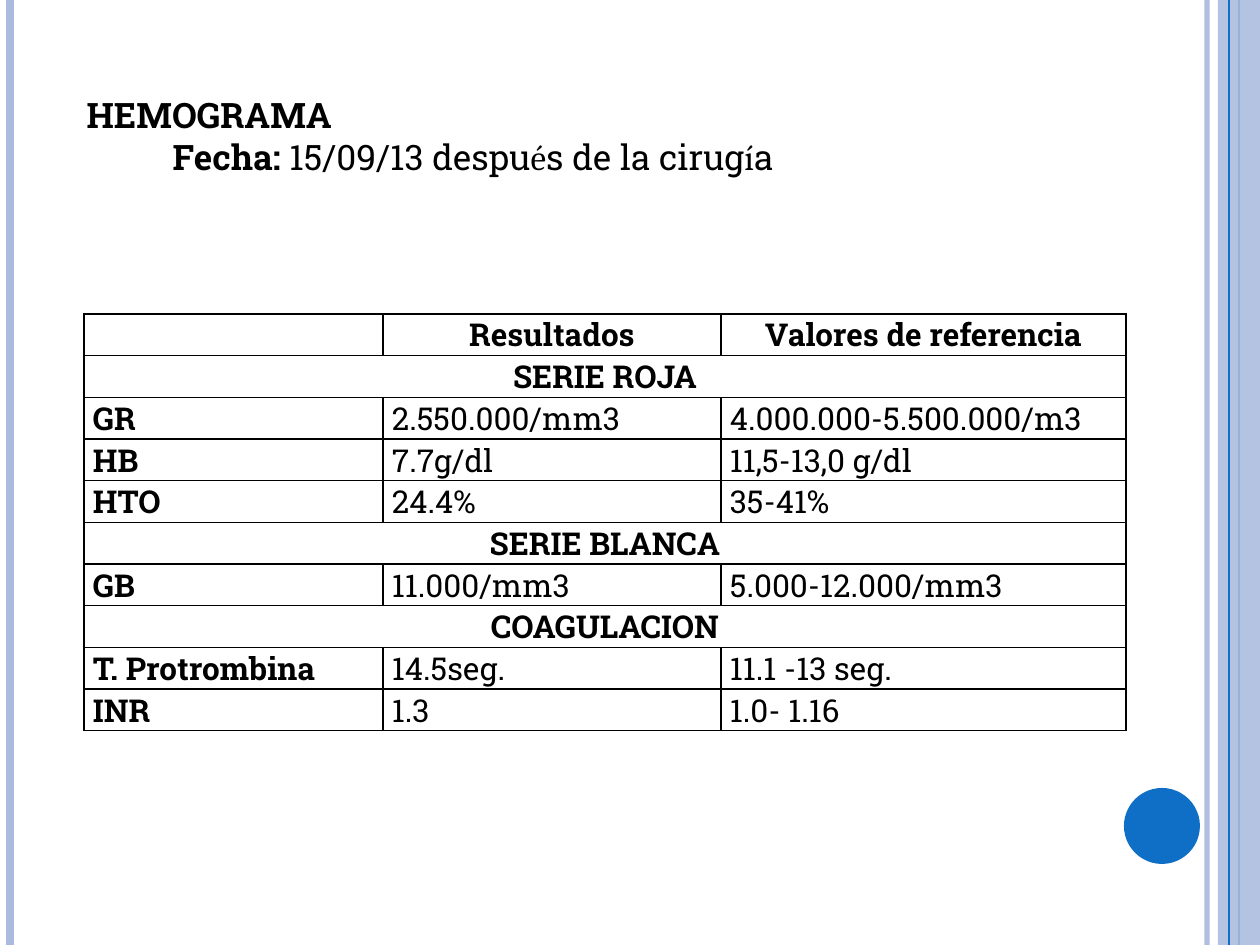
from dataclasses import dataclass

from lxml import etree
from pptx import Presentation
from pptx.dml.color import RGBColor
from pptx.enum.shapes import MSO_CONNECTOR, MSO_SHAPE
from pptx.enum.text import MSO_ANCHOR, MSO_AUTO_SIZE, PP_ALIGN
from pptx.oxml.ns import qn
from pptx.util import Emu, Pt

STRAIGHT = MSO_CONNECTOR.STRAIGHT
RECTANGLE, OVAL = MSO_SHAPE.RECTANGLE, MSO_SHAPE.OVAL
LEFT, CENTER, JUSTIFY = PP_ALIGN.LEFT, PP_ALIGN.CENTER, PP_ALIGN.JUSTIFY
TITLE_ONLY = 5
SLIDE_WIDTH, SLIDE_HEIGHT = 1260, 945
COLUMN_WIDTHS = (299, 338, 405)
ROW_HEIGHT = 41
CELL_MARGIN = 9

# A row with a single entry is a section heading across all columns.
ROWS = (
    ("", "Resultados", "Valores de referencia"),
    ("SERIE ROJA",),
    ("GR", "2.550.000/mm3", "4.000.000-5.500.000/m3"),
    ("HB", "7.7g/dl", "11,5-13,0 g/dl"),
    ("HTO", "24.4%", "35-41%"),
    ("SERIE BLANCA",),
    ("GB", "11.000/mm3", "5.000-12.000/mm3"),
    ("COAGULACION",),
    ("T. Protrombina", "14.5seg.", "11.1 -13 seg."),
    ("INR", "1.3", "1.0- 1.16"),
)


@dataclass(frozen=True)
class Theme:
    font: str = "Roboto Slab"
    accent_font: str = "Cambria"
    text: str = "000000"
    pale: str = "ABBBDF"
    blue: str = "0F6FC6"
    title_size: int = 20
    table_size: int = 18


THEME = Theme()


def px(length):
    return Emu(round(length * 914400 / 126))


def add_text(paragraph, text, *, size, bold=False, font=THEME.font, align=LEFT):
    paragraph.alignment = align
    run = paragraph.add_run()
    run.text = text
    run.font.name = font
    run.font.size = Pt(size)
    run.font.bold = bold
    run.font.color.rgb = RGBColor.from_string(THEME.text)


def set_opacity(fill_parent, percent):
    color = next(fill_parent.iter(qn("a:srgbClr")))
    etree.SubElement(color, qn("a:alpha"), val=str(percent * 1000))


def add_stripe(slide, x, color, width, opacity=100):
    """Draw a vertical line over the full height of the slide."""
    stripe = slide.shapes.add_connector(STRAIGHT, px(x), 0, px(x), px(SLIDE_HEIGHT))
    stripe.line.color.rgb = RGBColor.from_string(color)
    stripe.line.width = Pt(width)
    properties = stripe._element.spPr
    if opacity < 100:
        set_opacity(properties, opacity)
    etree.SubElement(properties, qn("a:effectLst"))


def add_filled_shape(slide, kind, left, top, width, height, color):
    shape = slide.shapes.add_shape(kind, px(left), px(top), px(width), px(height))
    shape.shadow.inherit = False
    shape.fill.solid()
    shape.fill.fore_color.rgb = RGBColor.from_string(color)
    shape.line.fill.background()
    return shape


def add_decoration(slide):
    add_stripe(slide, 1207, THEME.pale, 3, opacity=93)
    add_stripe(slide, 10, THEME.pale, 4.5)
    add_stripe(slide, 1239, THEME.blue, 1.5)
    band = add_filled_shape(slide, RECTANGLE, SLIDE_WIDTH - 42, 0, 42, SLIDE_HEIGHT, THEME.pale)
    set_opacity(band._element.spPr, 87)
    add_stripe(slide, 1229, THEME.blue, 0.75)
    add_filled_shape(slide, OVAL, 1124, 788, 76, 76, THEME.blue)


def fill_title(title, left, top, width, height):
    title.left, title.top, title.width, title.height = map(px, (left, top, width, height))
    frame = title.text_frame
    frame.word_wrap = False
    frame.auto_size = MSO_AUTO_SIZE.NONE
    frame.vertical_anchor = MSO_ANCHOR.TOP
    size = THEME.title_size
    add_text(frame.paragraphs[0], "HEMOGRAMA", size=size, bold=True)
    date = frame.add_paragraph()
    date._p.get_or_add_pPr().set("marL", str(px(86)))
    add_text(date, "Fecha: ", size=size, bold=True)
    for text, font in (
        ("15/09/13 despu", THEME.font),
        ("é", THEME.accent_font),
        ("s de la cirug", THEME.font),
        ("í", THEME.accent_font),
        ("a", THEME.font),
    ):
        add_text(date, text, size=size, font=font)


def format_cell(cell):
    cell.margin_left = cell.margin_right = px(CELL_MARGIN)
    cell.margin_top = cell.margin_bottom = 0
    properties = cell._tc.get_or_add_tcPr()
    for side in ("lnL", "lnR", "lnT", "lnB"):
        border = etree.SubElement(properties, qn(f"a:{side}"), w=str(Pt(1)))
        fill = etree.SubElement(border, qn("a:solidFill"))
        etree.SubElement(fill, qn("a:srgbClr"), val=THEME.text)
    cell.fill.background()


def add_results_table(slide, left, top):
    frame = slide.shapes.add_table(
        len(ROWS), len(COLUMN_WIDTHS), px(left), px(top),
        px(sum(COLUMN_WIDTHS)), px(ROW_HEIGHT * len(ROWS)),
    )
    table = frame.table
    table.first_row = table.horz_banding = False
    for column, width in zip(table.columns, COLUMN_WIDTHS):
        column.width = px(width)
    for row_index, (row, texts) in enumerate(zip(table.rows, ROWS)):
        row.height = px(ROW_HEIGHT)
        for cell in row.cells:
            format_cell(cell)
        is_section = len(texts) == 1
        if is_section:
            row.cells[0].merge(row.cells[len(COLUMN_WIDTHS) - 1])
        is_heading = is_section or row_index == 0
        for column_index, text in enumerate(texts):
            if text:
                add_text(
                    row.cells[column_index].text_frame.paragraphs[0], text,
                    size=THEME.table_size,
                    bold=is_heading or column_index == 0,
                    align=CENTER if is_heading else JUSTIFY,
                )


def main():
    presentation = Presentation()
    presentation.slide_width = px(SLIDE_WIDTH)
    presentation.slide_height = px(SLIDE_HEIGHT)
    slide = presentation.slides.add_slide(presentation.slide_layouts[TITLE_ONLY])
    add_decoration(slide)
    fill_title(slide.shapes.title, 74, 87, 838, 140)
    add_results_table(slide, 84, 314)
    presentation.save("out.pptx")


if __name__ == "__main__":
    main()
